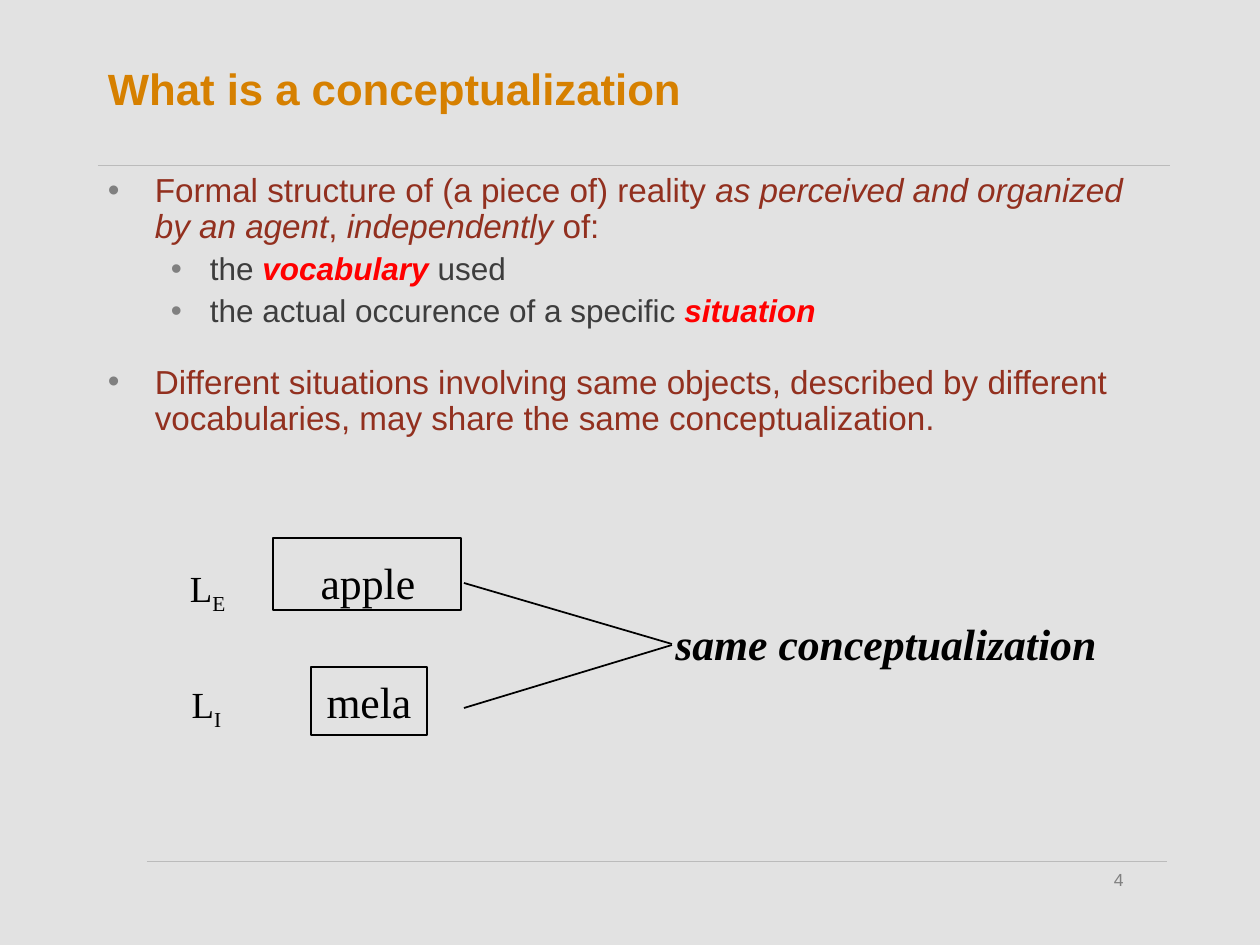
import pptx
import pptx.dml.color
import pptx.enum.shapes
import pptx.enum.text
import pptx.oxml
import pptx.oxml.ns
import pptx.util
from lxml import etree

RGBColor = pptx.dml.color.RGBColor
ALIGN = pptx.enum.text.PP_ALIGN
ANCHOR = pptx.enum.text.MSO_ANCHOR
PX = 914400 / 126

BACKGROUND = RGBColor(0xE2, 0xE2, 0xE2)
RULE = RGBColor(0xBB, 0xBB, 0xBB)
GRAY = RGBColor(0x80, 0x80, 0x80)
ORANGE = RGBColor(0xD6, 0x80, 0x00)
BROWN = RGBColor(0x92, 0x30, 0x1F)
DARK = RGBColor(0x3D, 0x3D, 0x3D)
RED = RGBColor(0xFF, 0x00, 0x00)
BLACK = RGBColor(0x00, 0x00, 0x00)

SANS, SERIF = "Arial", "Times New Roman"
ITALIC = {"italic": True}
KEYWORD = {"bold": True, "italic": True, "color": RED}

LEVELS = [
    {"size": 19, "color": BROWN, "margin": 47, "hanging": 47},
    {"size": 18, "color": DARK, "margin": 102, "hanging": 39},
]
BULLETS = [
    (0, 0, [("Formal structure of (a piece of) reality ", {}),
            ("as perceived and organized by an agent", ITALIC),
            (", ", {}), ("independently", ITALIC), (" of:", {})]),
    (1, 4.5, [("the ", {}), ("vocabulary", KEYWORD), (" used", {})]),
    (1, 4.5, [("the actual occurence of a specific ", {}), ("situation", KEYWORD)]),
    (0, 20.5, [("Different situations involving same objects, described by different "
                "vocabularies, may share the same conceptualization.", {})]),
]
RULES = [(147, 861, 1167, 861), (98, 165, 1170, 165)]
BRANCHES = [(464, 583, 672, 644), (464, 708, 672, 645)]
WORD_BOXES = [(273, 538, 188, 72), (311, 667, 116, 68)]
LABELS = [
    ((305, 548, 126, 68), 25, [("apple", {})]),
    ((311, 667, 116, 68), 25, [("mela", {})]),
    ((660, 609, 452, 68), 25, [("same conceptualization", {"bold": True, "italic": True})]),
    ((176, 674, 61, 66), 21, [("L", {}), ("I", {"baseline": -25})]),
    ((174, 558, 67, 66), 21, [("L", {}), ("E", {"baseline": -25})]),
]


def px(value):
    return round(value * PX)


def add_runs(paragraph, runs, size, color, name):
    for text, style in runs:
        run = paragraph.add_run()
        run.text = text
        run.font.size = pptx.util.Pt(size)
        run.font.name = name
        run.font.bold = style.get("bold", False)
        run.font.italic = style.get("italic", False)
        run.font.color.rgb = style.get("color", color)
        if "baseline" in style:
            run._r.get_or_add_rPr().set("baseline", str(style["baseline"] * 1000))


def add_text_box(slide, box, inset=(13, 6), wrap=False, anchor=ANCHOR.TOP):
    text_frame = slide.shapes.add_textbox(*map(px, box)).text_frame
    text_frame.word_wrap = wrap
    text_frame.vertical_anchor = anchor
    text_frame.margin_left = text_frame.margin_right = px(inset[0])
    text_frame.margin_top = text_frame.margin_bottom = px(inset[1])
    return text_frame


def add_line(slide, ends, color, width):
    connector = slide.shapes.add_connector(
        pptx.enum.shapes.MSO_CONNECTOR.STRAIGHT, *map(px, ends))
    connector.line.color.rgb = color
    connector.line.width = pptx.util.Pt(width)
    etree.SubElement(connector._element.spPr, pptx.oxml.ns.qn("a:effectLst"))


def add_bullet(paragraph, level):
    properties = paragraph._p.get_or_add_pPr()
    properties.set("marL", str(px(level["margin"])))
    properties.set("indent", str(-px(level["hanging"])))
    bullet_color = etree.SubElement(properties, pptx.oxml.ns.qn("a:buClr"))
    etree.SubElement(bullet_color, pptx.oxml.ns.qn("a:srgbClr"), val=str(GRAY))
    etree.SubElement(properties, pptx.oxml.ns.qn("a:buFont"), typeface=SANS)
    etree.SubElement(properties, pptx.oxml.ns.qn("a:buChar"), char="•")


def add_body(slide):
    text_frame = add_text_box(slide, (95, 168, 1071, 718), wrap=True)
    for index, (depth, space_before, runs) in enumerate(BULLETS):
        paragraph = text_frame.add_paragraph() if index else text_frame.paragraphs[0]
        level = LEVELS[depth]
        add_bullet(paragraph, level)
        paragraph.level = depth
        paragraph.line_spacing = 0.9
        paragraph.space_before = pptx.util.Pt(space_before)
        add_runs(paragraph, runs, level["size"], level["color"], SANS)


def add_diagram(slide):
    for box in WORD_BOXES:
        shape = slide.shapes.add_shape(
            pptx.enum.shapes.MSO_SHAPE.RECTANGLE, *map(px, box))
        shape.shadow.inherit = False
        shape.fill.background()
        shape.line.color.rgb = BLACK
        shape.line.width = pptx.util.Pt(1)
    for ends in BRANCHES:
        add_line(slide, ends, BLACK, 1)
    for box, size, runs in LABELS:
        paragraph = add_text_box(slide, box, inset=(15, 8)).paragraphs[0]
        paragraph.alignment = ALIGN.CENTER
        add_runs(paragraph, runs, size, BLACK, SERIF)


def main():
    presentation = pptx.Presentation()
    presentation.slide_width, presentation.slide_height = px(1260), px(945)
    slide = presentation.slides.add_slide(presentation.slide_layouts[6])
    slide.background.fill.solid()
    slide.background.fill.fore_color.rgb = BACKGROUND

    for ends in RULES:
        add_line(slide, ends, RULE, 0.25)
    number = add_text_box(slide, (1101, 863, 35, 34))
    add_runs(number.paragraphs[0], [("4", {})], 10, GRAY, SANS)
    title = add_text_box(slide, (95, 9, 1071, 158), wrap=True, anchor=ANCHOR.MIDDLE)
    add_runs(title.paragraphs[0], [("What is a conceptualization", {"bold": True})],
             25, ORANGE, SANS)
    add_body(slide)
    add_diagram(slide)
    presentation.save("out.pptx")


if __name__ == "__main__":
    main()
